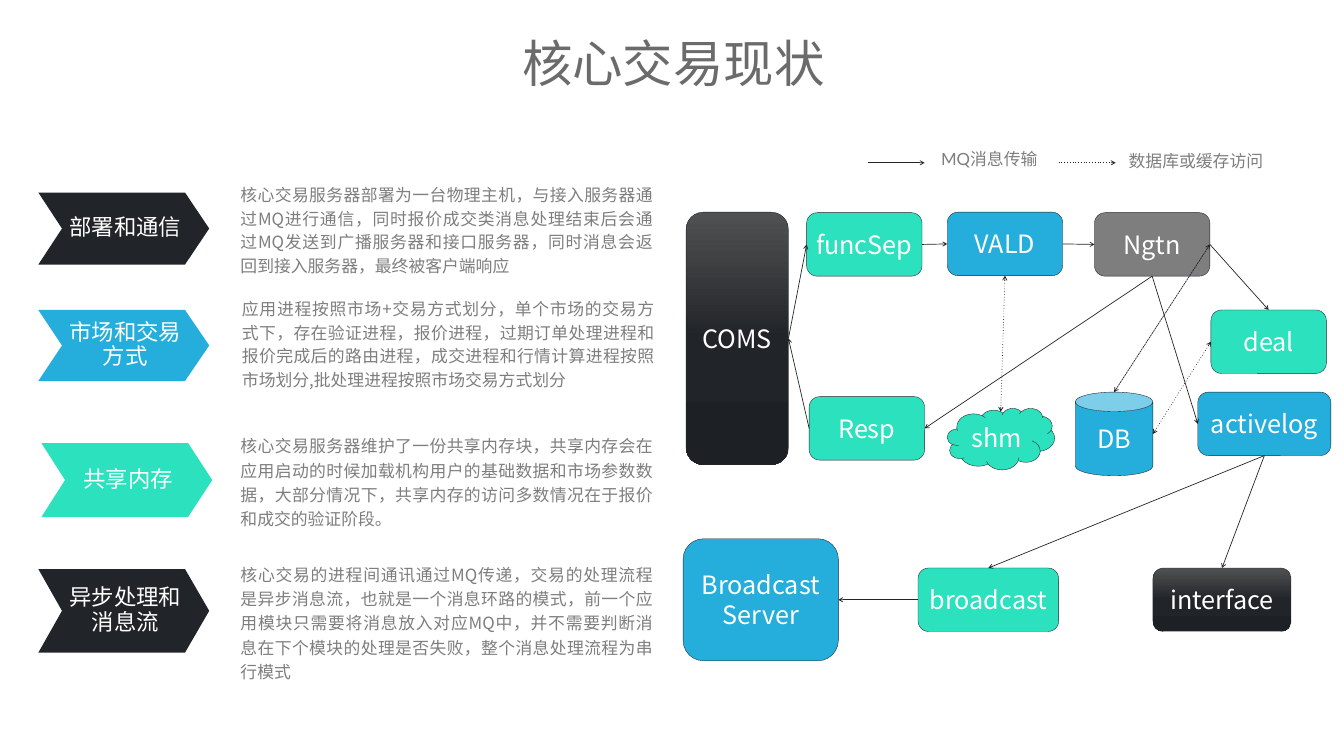
import copy

import pptx
import pptx.dml.color
import pptx.enum.shapes
import pptx.enum.text
import pptx.oxml.ns
import pptx.util
from lxml import etree
from pptx.util import Inches

RGB = pptx.dml.color.RGBColor
SHAPE = pptx.enum.shapes.MSO_SHAPE
ALIGN = pptx.enum.text.PP_ALIGN
ANCHOR = pptx.enum.text.MSO_ANCHOR
qn = pptx.oxml.ns.qn

INK = RGB(0x21, 0x24, 0x28)
INK_LIGHT = RGB(0x50, 0x51, 0x52)
INK_DEEP = RGB(0x1D, 0x20, 0x24)
BLUE = RGB(0x25, 0xAE, 0xDB)
GREEN = RGB(0x2C, 0xE1, 0xBE)
GRAY = RGB(0x7E, 0x7E, 0x7E)
TITLE_GRAY = RGB(0x6B, 0x6B, 0x6B)
WHITE = RGB(0xFF, 0xFF, 0xFF)
DARK_GRADIENT = ((0, INK_LIGHT), (0.5, INK), (1, INK_DEEP))

CJK = "Noto Sans CJK SC"
LATIN = "Lato"
TOP, LEFT, BOTTOM, RIGHT = range(4)

# label, colour, banner left/top/height, description left/top/height, line pitch, description
TOPICS = [
    ("部署和通信", INK, (0.76, 3.82, 1.43), (4.77, 3.59, 1.89), 34,
     "核心交易服务器部署为一台物理主机，与接入服务器通过MQ进行通信，同时报价成交类消息处理结束后"
     "会通过MQ发送到广播服务器和接口服务器，同时消息会返回到接入服务器，最终被客户端响应"),
    ("市场和交易方式", BLUE, (0.76, 6.15, 1.41), (4.8, 5.85, 1.89), 34,
     "应用进程按照市场+交易方式划分，单个市场的交易方式下，存在验证进程，报价进程，过期订单处理进程"
     "和报价完成后的路由进程，成交进程和行情计算进程按照市场划分,批处理进程按照市场交易方式划分"),
    ("共享内存", GREEN, (0.82, 8.79, 1.47), (4.77, 8.57, 1.93), 34.7,
     "核心交易服务器维护了一份共享内存块，共享内存会在应用启动的时候加载机构用户的基础数据和市场参数"
     "数据，大部分情况下，共享内存的访问多数情况在于报价和成交的验证阶段。"),
    ("异步处理和消息流", INK, (0.76, 11.29, 1.66), (4.77, 11.12, 2.42), 34.7,
     "核心交易的进程间通讯通过MQ传递，交易的处理流程是异步消息流，也就是一个消息环路的模式，前一个应用"
     "模块只需要将消息放入对应MQ中，并不需要判断消息在下个模块的处理是否失败，整个消息处理流程为串行模式"),
]

# label, left, top, width, height, fill, outline
NODES = [
    ("COMS", 13.61, 4.21, 2.03, 5.01, DARK_GRADIENT, SHAPE.ROUNDED_RECTANGLE),
    ("funcSep", 16, 4.22, 2.29, 1.26, GREEN, SHAPE.ROUNDED_RECTANGLE),
    ("Resp", 16.05, 7.87, 2.29, 1.26, GREEN, SHAPE.ROUNDED_RECTANGLE),
    ("VALD", 18.79, 4.21, 2.29, 1.26, BLUE, SHAPE.ROUNDED_RECTANGLE),
    ("Ngtn", 21.71, 4.22, 2.29, 1.26, GRAY, SHAPE.ROUNDED_RECTANGLE),
    ("deal", 24.02, 6.15, 2.29, 1.26, GREEN, SHAPE.ROUNDED_RECTANGLE),
    ("activelog", 23.76, 7.78, 2.64, 1.26, BLUE, SHAPE.ROUNDED_RECTANGLE),
    ("broadcast", 18.21, 11.27, 2.79, 1.26, GREEN, SHAPE.ROUNDED_RECTANGLE),
    ("interface", 22.87, 11.27, 2.74, 1.26, DARK_GRADIENT, SHAPE.ROUNDED_RECTANGLE),
    ("Broadcast Server", 13.55, 10.69, 3.08, 2.42, BLUE, SHAPE.ROUNDED_RECTANGLE),
    ("DB", 21.33, 7.78, 1.54, 1.66, BLUE, SHAPE.CAN),
    ("shm", 18.79, 8.1, 2.13, 1.22, GREEN, SHAPE.CLOUD),
]

MESSAGES = [
    (("COMS", RIGHT), ("funcSep", LEFT)),
    (("funcSep", RIGHT), ("VALD", LEFT)),
    (("VALD", RIGHT), ("Ngtn", LEFT)),
    (("Ngtn", RIGHT), ("deal", TOP)),
    (("Ngtn", BOTTOM), ("Resp", RIGHT)),
    (("Ngtn", BOTTOM), ("activelog", LEFT)),
    (("activelog", BOTTOM), ("interface", TOP)),
    (("activelog", BOTTOM), ("broadcast", TOP)),
    (("broadcast", LEFT), ("Broadcast Server", RIGHT)),
    (("Resp", LEFT), ("COMS", RIGHT)),
]

# node side, point on the store's outline, dash
STORE_ACCESSES = [
    (("Ngtn", RIGHT), (22.1, 7.78), "sysDash"),
    (("VALD", BOTTOM), (19.85, 8.17), "dot"),
    (("deal", LEFT), (22.87, 8.61), "dot"),
]


def write(frame, text, size, color, align, font=CJK, pitch=None):
    frame.word_wrap = True
    paragraph = frame.paragraphs[0]
    paragraph.text = text
    paragraph.alignment = align
    if pitch:
        paragraph.line_spacing = pitch
    paragraph.font.size = pptx.util.Pt(size)
    paragraph.font.color.rgb = color
    paragraph.font.name = font
    properties = paragraph._p.pPr.find(qn("a:defRPr"))
    etree.SubElement(properties, qn("a:ea"), typeface=font)


def set_insets(frame, sides=(0, 0), ends=0):
    frame.margin_left, frame.margin_right = map(Inches, sides)
    frame.margin_top = frame.margin_bottom = Inches(ends)


def add_text(slide, box, *style, **options):
    frame = slide.shapes.add_textbox(*map(Inches, box)).text_frame
    write(frame, *style, **options)
    return frame


def paint(shape, fill):
    """Fill with one colour, or with a top-down gradient of three stops."""
    shape.shadow.inherit = False
    if isinstance(fill, RGB):
        shape.fill.solid()
        shape.fill.fore_color.rgb = fill
        return
    shape.fill.gradient()
    shape.fill.gradient_angle = 270
    first = shape.fill.gradient_stops[0]._gs
    first.addnext(copy.deepcopy(first))
    for stop, (position, color) in zip(shape.fill.gradient_stops, fill):
        stop.position = position
        stop.color.rgb = color


def add_banner(slide, label, color, left, top, height):
    shoulder, tip, notch, middle = left + 2.91, left + 3.39, left + 0.47, top + height / 2
    outline = [(shoulder, top), (tip, middle), (shoulder, top + height),
               (left, top + height), (notch, middle)]
    builder = slide.shapes.build_freeform(Inches(left), Inches(top))
    builder.add_line_segments([(Inches(x), Inches(y)) for x, y in outline])
    banner = builder.convert_to_shape()
    paint(banner, color)
    banner.line.fill.background()
    frame = banner.text_frame
    frame.vertical_anchor = ANCHOR.MIDDLE
    set_insets(frame, (0.57, 0.51), 0.07)
    write(frame, label, 32, WHITE, ALIGN.CENTER, pitch=0.9)


def add_node(slide, label, left, top, width, height, fill, outline):
    node = slide.shapes.add_shape(outline, *map(Inches, (left, top, width, height)))
    paint(node, fill)
    node.line.color.rgb = INK
    node.line.width = pptx.util.Pt(0.5)
    node.text_frame.vertical_anchor = ANCHOR.MIDDLE
    write(node.text_frame, label, 36, WHITE, ALIGN.CENTER)
    return node


def add_arrow(slide, start=(0, 0), end=(0, 0), dash=None, both_ends=False):
    arrow = slide.shapes.add_connector(
        pptx.enum.shapes.MSO_CONNECTOR.STRAIGHT, *map(Inches, (*start, *end)))
    arrow.line.color.rgb = INK
    arrow.line.width = pptx.util.Pt(1)
    line = arrow.line._get_or_add_ln()
    if dash:
        etree.SubElement(line, qn("a:prstDash"), val=dash)
    if both_ends:
        etree.SubElement(line, qn("a:headEnd"), type="arrow")
    etree.SubElement(line, qn("a:tailEnd"), type="arrow")
    etree.SubElement(arrow._element.spPr, qn("a:effectLst"))
    return arrow


def add_topics(slide):
    for label, color, banner, (left, top, height), pitch, description in TOPICS:
        add_banner(slide, label, color, *banner)
        frame = add_text(slide, (left, top, 8.18, height), description, 24, GRAY,
                         ALIGN.JUSTIFY, pitch=pptx.util.Pt(pitch))
        set_insets(frame)


def add_flow(slide):
    nodes = {node[0]: add_node(slide, *node) for node in NODES}
    for (source, source_side), (target, target_side) in MESSAGES:
        arrow = add_arrow(slide)
        arrow.begin_connect(nodes[source], source_side)
        arrow.end_connect(nodes[target], target_side)
    for (source, side), store_point, dash in STORE_ACCESSES:
        arrow = add_arrow(slide, end=store_point, dash=dash, both_ends=True)
        arrow.begin_connect(nodes[source], side)


def add_legend(slide):
    add_arrow(slide, (17.22, 3.23), (18.34, 3.23))
    add_text(slide, (18.57, 2.91, 3.36, 0.5), "MQ消息传输", 24, GRAY, ALIGN.LEFT, font=LATIN)
    add_arrow(slide, (21, 3.23), (22.13, 3.23), dash="dot")
    add_text(slide, (22.29, 2.94, 3.49, 0.5), "数据库或缓存访问", 24, GRAY, ALIGN.LEFT, font=LATIN)


def main():
    deck = pptx.Presentation()
    deck.slide_width, deck.slide_height = Inches(26.66), Inches(15)
    slide = deck.slides.add_slide(deck.slide_layouts[6])
    title = add_text(slide, (10.32, 0.63, 6.07, 1.21), "核心交易现状", 72, TITLE_GRAY, ALIGN.CENTER)
    set_insets(title)
    title.word_wrap = False
    title.vertical_anchor = ANCHOR.MIDDLE
    add_topics(slide)
    add_flow(slide)
    add_legend(slide)
    deck.save("out.pptx")


if __name__ == "__main__":
    main()
